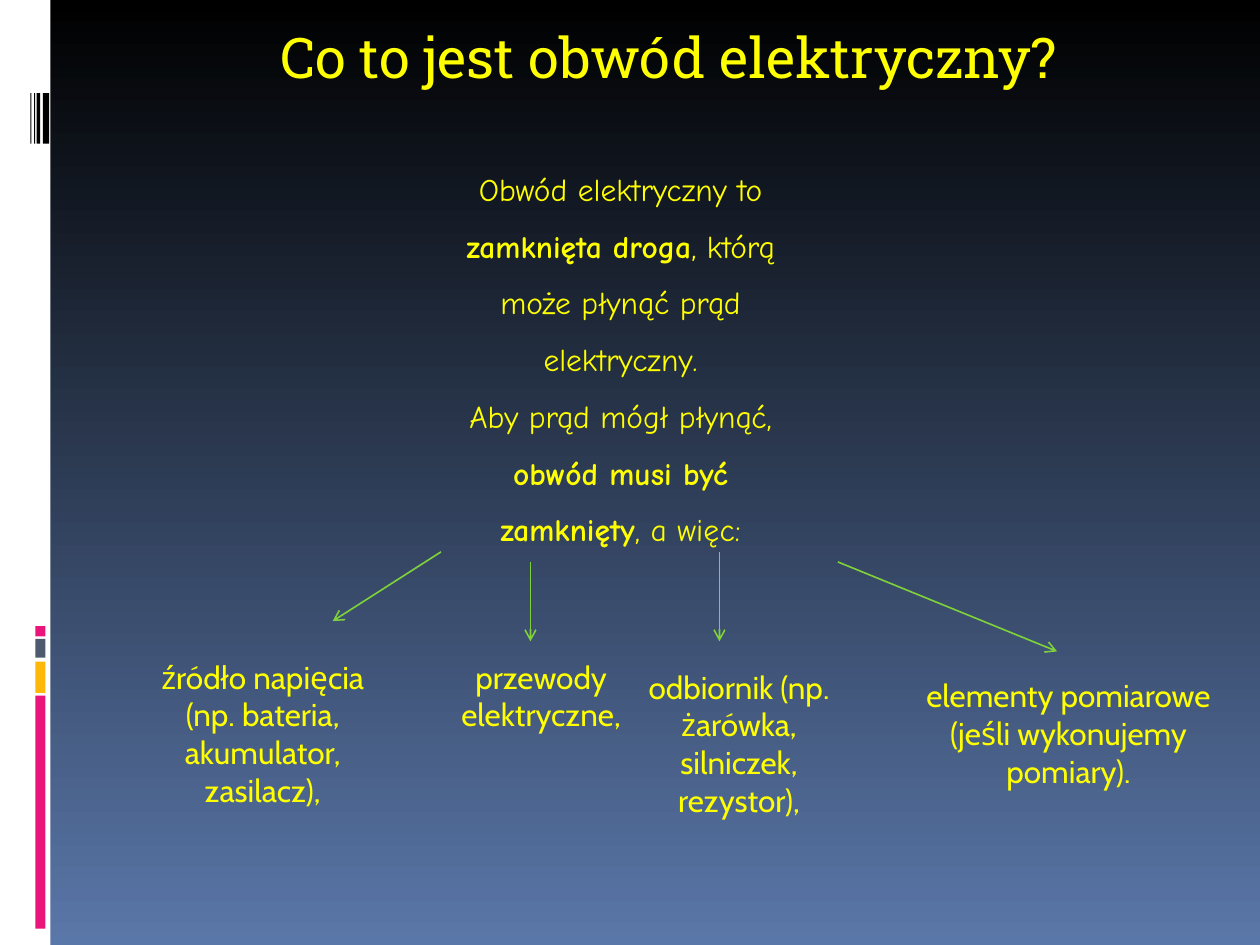
import dataclasses
import typing

import lxml.etree
import pptx
import pptx.dml.color
import pptx.enum.shapes
import pptx.enum.text
import pptx.oxml.ns
import pptx.util

Color = pptx.dml.color.RGBColor


@dataclasses.dataclass(frozen=True)
class Theme:
    sky: str = "000000"
    ground: str = "5A77A9"
    text: str = "FFFF00"
    arrow: str = "7FD13B"
    white: str = "FFFFFF"
    black: str = "000000"
    pink: str = "EA157A"
    amber: str = "FEB80A"
    slate: str = "4E5B6F"
    title_font: str = "Roboto Slab"
    definition_font: str = "Comic Neue"
    label_font: str = "Cabin"
    title_size: float = 32
    body_size: float = 18
    arrow_width: float = 0.94


class Area(typing.NamedTuple):
    """Left, top, width and height in grid cells."""
    column: float
    row: float
    columns: float
    rows: float


class Bar(typing.NamedTuple):
    area: Area
    color: str


class Span(typing.NamedTuple):
    text: str
    bold: bool = False
    new_line: bool = False


class Branch(typing.NamedTuple):
    """One part of the circuit: its label and the arrow leading to it."""
    text: str
    area: Area
    start: tuple[float, float]
    end: tuple[float, float]


THEME = Theme()
COLUMNS, ROWS = 100, 75
WIDTH, HEIGHT = pptx.util.Inches(10), pptx.util.Inches(7.5)

TITLE = "Co to jest obwód elektryczny?"
TITLE_AREA = Area(10.6, 1.3, 85, 10)

DEFINITION = [
    Span("Obwód elektryczny to "),
    Span("zamknięta droga", bold=True),
    Span(", którą może płynąć prąd elektryczny."),
    Span("Aby prąd mógł płynąć, ", new_line=True),
    Span("obwód musi być zamknięty", bold=True),
    Span(", a więc:"),
]
DEFINITION_AREA = Area(34.3, 11.5, 29.9, 32.5)

BRANCHES = [
    Branch("źródło napięcia (np. bateria, akumulator, zasilacz),",
           Area(11.4, 51.7, 18.9, 16), (35, 43.8), (26.4, 49.3)),
    Branch("przewody elektryczne,",
           Area(34.3, 51.7, 17.3, 7), (42.1, 44.6), (42.1, 50.9)),
    Branch("odbiornik (np. żarówka, silniczek, rezystor),",
           Area(48.4, 52.5, 20.5, 13), (57.1, 43.8), (57.1, 50.9)),
    Branch("elementy pomiarowe (jeśli wykonujemy pomiary).",
           Area(72, 53.2, 25.6, 13), (66.5, 44.6), (83.9, 51.7)),
]

# Side strip, stacked colour blocks (top, height) and thin stripes (left, width)
BARS = [Bar(Area(0, 0, 4, ROWS), THEME.white)]
BARS += [Bar(Area(2.8, row, 0.8, rows), color) for row, rows, color in (
    (55.2, 18.5, THEME.pink), (52.5, 2.5, THEME.amber),
    (50.7, 1.5, THEME.slate), (49.7, 0.8, THEME.pink))]
BARS += [Bar(Area(column, 7.4, columns, 4), THEME.black) for column, columns in (
    (3.4, 0.5), (2.9, 0.3), (2.7, 0.1), (2.4, 0.1))]


def across(columns: float) -> int:
    return round(WIDTH * columns / COLUMNS)


def down(rows: float) -> int:
    return round(HEIGHT * rows / ROWS)


def place(area: Area) -> tuple[int, int, int, int]:
    return across(area.column), down(area.row), across(area.columns), down(area.rows)


def paint_background(page) -> None:
    fill = page.background.fill
    fill.gradient()
    fill.gradient_angle = 270
    for stop, color in zip(fill.gradient_stops, (THEME.sky, THEME.ground)):
        stop.color.rgb = Color.from_string(color)


def draw_bar(page, bar: Bar) -> None:
    shape = page.shapes.add_shape(
        pptx.enum.shapes.MSO_SHAPE.RECTANGLE, *place(bar.area))
    shape.shadow.inherit = False
    shape.fill.solid()
    shape.fill.fore_color.rgb = Color.from_string(bar.color)
    shape.line.fill.background()


def write(box, spans: list[Span], font: str, size: float,
          line_spacing: float = 1.0) -> None:
    frame = box.text_frame
    frame.word_wrap = True
    frame.vertical_anchor = pptx.enum.text.MSO_ANCHOR.TOP
    para = frame.paragraphs[0]
    para.alignment = pptx.enum.text.PP_ALIGN.CENTER
    para.line_spacing = line_spacing
    for span in spans:
        if span.new_line:
            para.add_line_break()
        run = para.add_run()
        run.text = span.text
        run.font.name = font
        run.font.size = pptx.util.Pt(size)
        run.font.bold = span.bold
        run.font.color.rgb = Color.from_string(THEME.text)


def draw_title(page) -> None:
    title = page.shapes.title
    title.left, title.top, title.width, title.height = place(TITLE_AREA)
    title.text_frame.auto_size = pptx.enum.text.MSO_AUTO_SIZE.NONE
    write(title, [Span(TITLE)], THEME.title_font, THEME.title_size)


def draw_text(page, area: Area, spans: list[Span], font: str,
              line_spacing: float = 1.0) -> None:
    box = page.shapes.add_textbox(*place(area))
    box.text_frame.auto_size = pptx.enum.text.MSO_AUTO_SIZE.SHAPE_TO_FIT_TEXT
    write(box, spans, font, THEME.body_size, line_spacing)


def draw_arrow(page, start: tuple[float, float], end: tuple[float, float]) -> None:
    arrow = page.shapes.add_connector(
        pptx.enum.shapes.MSO_CONNECTOR.STRAIGHT,
        across(start[0]), down(start[1]), across(end[0]), down(end[1]))
    arrow.line.width = pptx.util.Pt(THEME.arrow_width)
    arrow.line.color.rgb = Color.from_string(THEME.arrow)
    properties = arrow._element.spPr
    outline = properties.find(pptx.oxml.ns.qn("a:ln"))
    lxml.etree.SubElement(outline, pptx.oxml.ns.qn("a:tailEnd"), type="arrow")
    lxml.etree.SubElement(properties, pptx.oxml.ns.qn("a:effectLst"))


def main() -> None:
    deck = pptx.Presentation()
    deck.slide_width, deck.slide_height = WIDTH, HEIGHT
    page = deck.slides.add_slide(deck.slide_layouts.get_by_name("Title Only"))

    # Backdrop
    paint_background(page)
    for bar in BARS:
        draw_bar(page, bar)

    # Title and definition
    draw_title(page)
    draw_text(page, DEFINITION_AREA, DEFINITION, THEME.definition_font, 1.5)

    # Parts of the circuit
    for branch in BRANCHES:
        draw_text(page, branch.area, [Span(branch.text)], THEME.label_font)
    for branch in BRANCHES:
        draw_arrow(page, branch.start, branch.end)

    deck.save("out.pptx")


if __name__ == "__main__":
    main()
